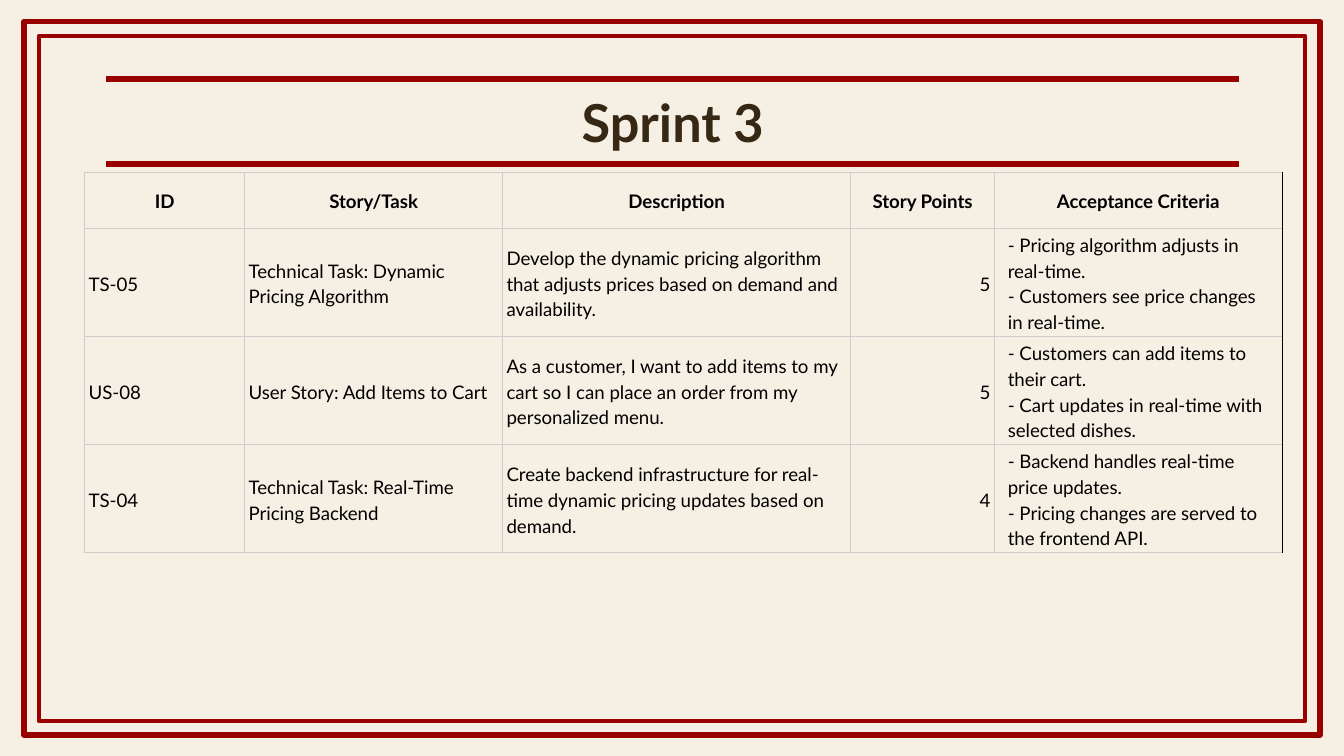
from lxml.etree import SubElement as Sub
from pptx import Presentation
from pptx.dml.color import RGBColor
from pptx.enum.shapes import MSO_CONNECTOR as Link, MSO_SHAPE as Kind
from pptx.enum.text import MSO_ANCHOR as Anchor, MSO_AUTO_SIZE as Fit, PP_ALIGN as Align
from pptx.oxml.ns import qn
from pptx.util import Inches, Pt

WIDE = Inches(10)
TALL = WIDE * 9 // 16
UNIT = WIDE / 100
RED, GREY, BLACK = "990000", "CCCCCC", "000000"
COLS = [11.9, 19.2, 25.9, 10.7, 21.4]
ROW = 4.17
ROWS = [
    ["ID", "Story/Task", "Description", "Story Points", "Acceptance Criteria"],
    ["TS-05", "Technical Task: Dynamic Pricing Algorithm",
     "Develop the dynamic pricing algorithm that adjusts prices based on demand and availability.",
     "5", "- Pricing algorithm adjusts in real-time.\n- Customers see price changes in real-time."],
    ["US-08", "User Story: Add Items to Cart",
     "As a customer, I want to add items to my cart so I can place an order from my personalized menu.",
     "5", "- Customers can add items to their cart.\n- Cart updates in real-time with selected dishes."],
    ["TS-04", "Technical Task: Real-Time Pricing Backend",
     "Create backend infrastructure for real-time dynamic pricing updates based on demand.",
     "4", "- Backend handles real-time price updates.\n- Pricing changes are served to the frontend API."],
]


def span(*cells):
    return [round(cell * UNIT) for cell in cells]


def paint(color, tone):
    color.rgb = RGBColor.from_string(tone)


def style(par, size, tone, bold, align):
    par.alignment = align
    for run in par.runs:
        run.font.name = "Lato"
        run.font.size = Pt(size)
        run.font.bold = bold
        paint(run.font.color, tone)


def pad(item, side, edge):
    item.margin_left = item.margin_right = Inches(side)
    item.margin_top = item.margin_bottom = Inches(edge)
    item.vertical_anchor = Anchor.MIDDLE


def stroke(line, weight):
    paint(line.color, RED)
    line.width = Pt(weight)


def frame(slide, box):
    left, top, width, height = box
    group = slide.shapes.add_group_shape()
    for inset, weight in ((0, 3), (1.08, 2.25)):
        rect = group.shapes.add_shape(Kind.RECTANGLE, *span(
            left + inset, top + inset, width - 2 * inset, height - 2 * inset))
        rect.shadow.inherit = False
        rect.fill.background()
        stroke(rect.line, weight)


def heading(slide, box):
    left, top, width, height = box
    title = slide.shapes.title
    title.left, title.top, title.width, title.height = span(*box)
    text = title.text_frame
    text.text = "Sprint 3"
    text.auto_size = Fit.NONE
    text.word_wrap = True
    pad(text, 0.1, 0.1)
    style(text.paragraphs[0], 28, "372814", True, Align.CENTER)
    group = slide.shapes.add_group_shape()
    for level in (top, top + height):
        rule = group.shapes.add_connector(
            Link.STRAIGHT, *span(left, level, left + width, level))
        stroke(rule.line, 3)
        Sub(rule._element.spPr, qn("a:effectLst"))


def edge(cell, last):
    props = cell._tc.get_or_add_tcPr()
    for side in "LRTB":
        line = Sub(props, qn(f"a:ln{side}"), w=str(Pt(0.42)))
        fill = Sub(line, qn("a:solidFill"))
        Sub(fill, qn("a:srgbClr"), val=BLACK if last and side == "R" else GREY)


def backlog(slide, left, top):
    shape = slide.shapes.add_table(
        len(ROWS), len(COLS), *span(left, top, sum(COLS), ROW * len(ROWS)))
    table = shape.table
    table.first_row = table.horz_banding = False
    for col, width in zip(table.columns, span(*COLS)):
        col.width = width
    for i, row in enumerate(ROWS):
        table.rows[i].height = span(ROW)[0]
        for j, words in enumerate(row):
            cell = table.cell(i, j)
            last = j == len(COLS) - 1
            cell.text_frame.text = words
            pad(cell, 0.1 if last else 0.03, 0.02)
            edge(cell, last)
            cell.fill.background()
            align = Align.CENTER if i == 0 else Align.RIGHT if j == 3 else Align.LEFT
            for par in cell.text_frame.paragraphs:
                par.line_spacing = 1.15
                style(par, 10, BLACK, i == 0, align)


def main():
    deck = Presentation()
    deck.slide_width, deck.slide_height = WIDE, TALL
    slide = deck.slides.add_slide(deck.slide_layouts[5])
    fill = slide.background.fill
    fill.solid()
    paint(fill.fore_color, "F6F0E4")
    frame(slide, (1.8, 1.6, 96.4, 53.1))
    heading(slide, (7.9, 5.9, 84.3, 6.3))
    backlog(slide, 6.3, 12.8)
    deck.save("out.pptx")


if __name__ == "__main__":
    main()
